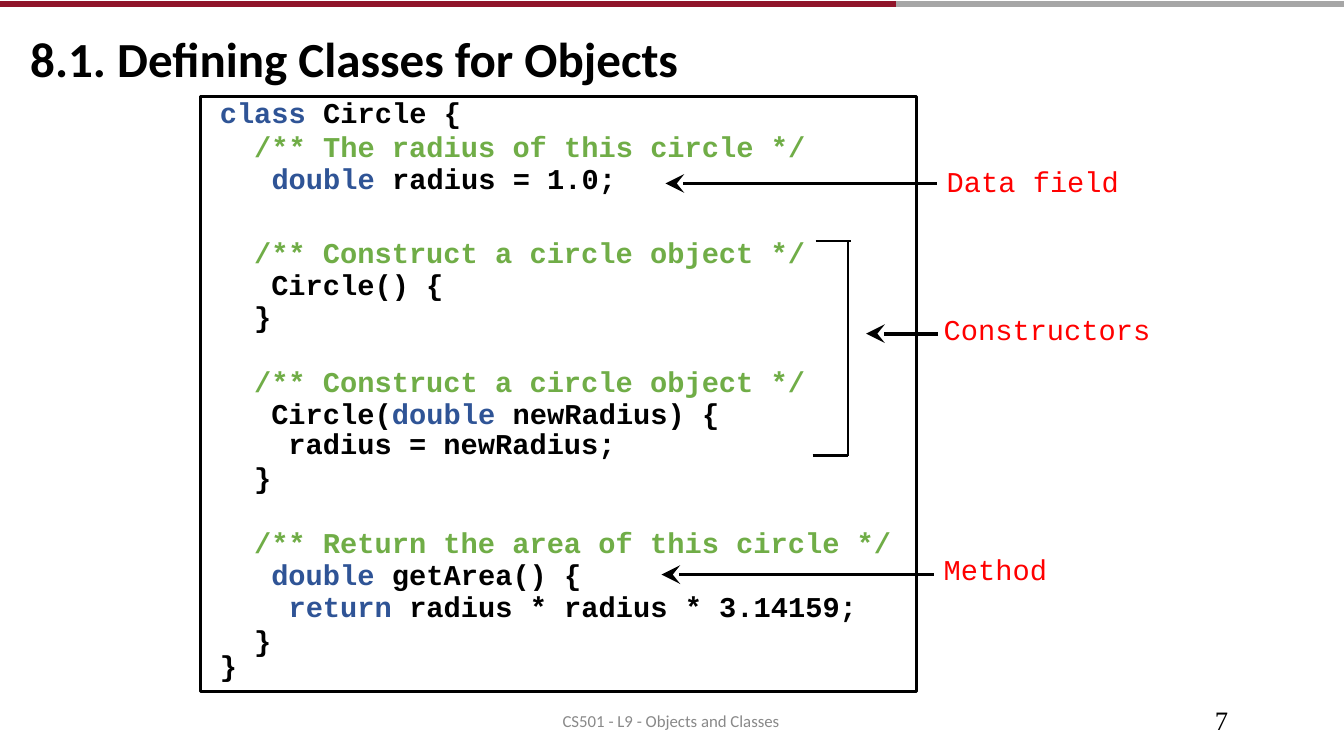
from dataclasses import dataclass

from lxml.etree import SubElement
from pptx import Presentation
from pptx.dml.color import RGBColor
from pptx.enum.shapes import MSO_CONNECTOR, MSO_SHAPE
from pptx.enum.text import MSO_ANCHOR, PP_ALIGN
from pptx.oxml.ns import qn
from pptx.util import Inches, Pt


@dataclass(frozen=True)
class Theme:
    """Colours, fonts and type sizes of the slide."""
    ink: str = "000000"
    keyword: str = "2F5496"
    comment: str = "70AD47"
    label: str = "FF0000"
    crimson: str = "90152A"
    silver: str = "A6A6A6"
    muted: str = "898989"
    sans: str = "Calibri"
    serif: str = "Times New Roman"
    mono: str = "Courier New"
    title_size: float = 35
    code_size: float = 20.5
    number_size: float = 19
    footer_size: float = 12


T = Theme()
KEYWORDS = ("class ", "double ", "return ")

CODE_BLOCKS = [
    (0.18, -0.03, [("class Circle {", 23.8),
                   ("  /** The radius of this circle */", 24.4),
                   ("   double radius = 1.0;", 23)]),
    (0.52, 1.31, [("/** Construct a circle object */", 23),
                  (" Circle() {", 23),
                  ("}", 22.6)]),
    (0.52, 2.59, [("/** Construct a circle object */", 23),
                  (" Circle(double newRadius) {", 23),
                  ("  radius = newRadius;", 21.8),
                  ("}", 23.8)]),
    (0.52, 4.19, [("/** Return the area of this circle */", 23),
                  (" double getArea() {", 23),
                  ("  return radius * radius * 3.14159;", 22.6),
                  ("}", 24.3)]),
    (0.18, 5.47, [("}", 23.2)]),
]

CALLOUTS = [
    ("Data field", 9.38, 1.61, 9.29, 6.6, 1.82),
    ("Constructors", 9.35, 3.07, 9.3, 8.59, 3.31),
    ("Method", 9.35, 5.45, 9.26, 6.56, 5.7),
]


def color(value):
    """Turn a hex string into a colour."""
    return RGBColor.from_string(value)


def set_font(font, name, size, tint, bold=False):
    """Apply typeface, size, colour and weight to a font."""
    font.name, font.size, font.bold = name, Pt(size), bold
    font.color.rgb = color(tint)


def prepare_frame(sp, inset_top):
    """Give a text shape tight margins and top anchoring."""
    tf = sp.text_frame
    tf.word_wrap = True
    tf.vertical_anchor = MSO_ANCHOR.TOP
    tf.margin_left, tf.margin_top = Inches(0.01), Inches(inset_top)
    tf.margin_right = tf.margin_bottom = 0
    return tf


def add_text(s, text, left, top, width, height, name, size, tint, inset_top=0.02):
    """Add a text box holding one paragraph in one style."""
    sp = s.shapes.add_textbox(Inches(left), Inches(top), Inches(width), Inches(height))
    p = prepare_frame(sp, inset_top).paragraphs[0]
    p.text = text
    set_font(p.font, name, size, tint)
    return p


def add_line(s, x1, y1, x2, y2, tint, weight, arrow=False):
    """Add a straight line, with an arrowhead at its end if asked."""
    sp = s.shapes.add_connector(MSO_CONNECTOR.STRAIGHT, Inches(x1), Inches(y1),
                                Inches(x2), Inches(y2))
    sp.line.color.rgb = color(tint)
    sp.line.width = Pt(weight)
    if arrow:
        SubElement(sp.line._get_or_add_ln(), qn("a:tailEnd"),
                   type="stealth", w="lg", len="lg")
    SubElement(sp._element.spPr, qn("a:effectLst"))


def add_header(s, left, top, width, height):
    """Draw the two-colour top rule and place the title."""
    split, y = 8.89, 0.04
    add_line(s, split, y, 13.33, y, T.silver, 4)
    add_line(s, 0, y, split, y, T.crimson, 4)
    sp = s.shapes.title
    sp.left, sp.top = Inches(left), Inches(top)
    sp.width, sp.height = Inches(width), Inches(height)
    p = prepare_frame(sp, 0.02).paragraphs[0]
    p.text = "8.1. Defining Classes for Objects"
    p.alignment = PP_ALIGN.LEFT
    set_font(p.font, T.sans, T.title_size, T.ink, True)


def add_code_line(p, line, pitch):
    """Write one line of code, with its keyword or comment coloured."""
    is_comment = line.lstrip().startswith("/**")
    p.line_spacing = Pt(pitch)
    set_font(p.font, T.mono, T.code_size, T.comment if is_comment else T.ink, True)
    word = next((k for k in KEYWORDS if k in line and not is_comment), None)
    parts = line.partition(word) if word else (line,)
    for part in filter(None, parts):
        r = p.add_run()
        r.text = part
        if part == word:
            r.font.color.rgb = color(T.keyword)


def add_code_panel(s, left, top, width, height):
    """Draw the framed class listing, block by block."""
    frame = s.shapes.add_shape(MSO_SHAPE.RECTANGLE, Inches(left), Inches(top),
                               Inches(width), Inches(height))
    frame.shadow.inherit = False
    frame.fill.background()
    frame.line.color.rgb = color(T.ink)
    frame.line.width = Pt(1.92)
    for dx, dy, lines in CODE_BLOCKS:
        block_height = sum(pitch for _, pitch in lines) / 72 + 0.08
        sp = s.shapes.add_textbox(Inches(left + dx), Inches(top + dy),
                                  Inches(width - dx), Inches(block_height))
        tf = prepare_frame(sp, 0.02 if dx < 0.5 else 0.08)
        for i, (line, pitch) in enumerate(lines):
            p = tf.add_paragraph() if i else tf.paragraphs[0]
            add_code_line(p, line, pitch)


def add_bracket(s, left, top, width, height):
    """Draw the square bracket that spans both constructors."""
    spine, bottom = left + width, top + height
    for x1, y1, x2, y2 in ((left + 0.03, top, spine + 0.03, top),
                           (left, bottom, spine, bottom),
                           (spine, top, spine, bottom)):
        add_line(s, x1, y1, x2, y2, T.ink, 1.92)


def add_callouts(s):
    """Add the red labels and the arrows that lead from them."""
    for text, left, top, start, tip, y in CALLOUTS:
        add_text(s, text, left, top, 2.2, 0.37, T.mono, T.code_size, T.label)
        add_line(s, start, y, tip, y, T.ink, 2.7, arrow=True)


def add_footer(s, top):
    """Add the course line and the page number."""
    add_text(s, "CS501 - L9 - Objects and Classes", 5.57, top + 0.03, 2.3, 0.23,
             T.sans, T.footer_size, T.muted)
    p = add_text(s, "7", 12.04, top, 0.33, 0.32, T.serif, T.number_size, T.ink, 0)
    p.line_spacing = Pt(21.8)


def main():
    """Build the slide and save it."""
    prs = Presentation()
    prs.slide_width, prs.slide_height = Inches(13.33), Inches(7.5)
    s = prs.slides.add_slide(prs.slide_layouts[5])
    add_header(s, 0.29, 0.26, 6.6, 0.61)
    add_code_panel(s, 1.99, 0.96, 7.1, 5.9)
    add_bracket(s, 8.06, 2.39, 0.35, 2.13)
    add_callouts(s)
    add_footer(s, 7)
    prs.save("out.pptx")


if __name__ == "__main__":
    main()
